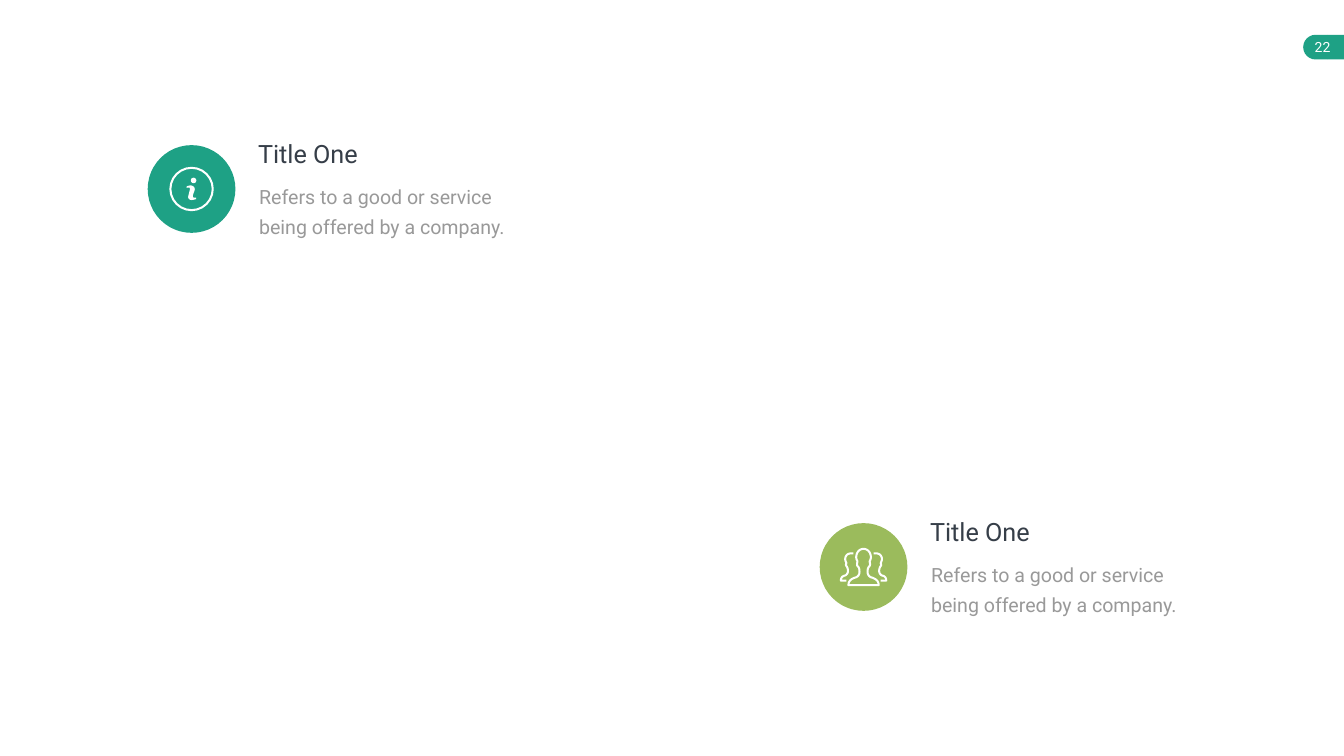
from pptx import Presentation
from pptx.dml.color import RGBColor
from pptx.enum.shapes import MSO_SHAPE
from pptx.enum.text import MSO_AUTO_SIZE, PP_ALIGN
from pptx.util import Inches, Pt

ELLIPSE = MSO_SHAPE.OVAL
RECTANGLE = MSO_SHAPE.RECTANGLE
DELAY = MSO_SHAPE.FLOWCHART_DELAY
CENTER = PP_ALIGN.CENTER
LEFT = PP_ALIGN.LEFT
GROW = MSO_AUTO_SIZE.SHAPE_TO_FIT_TEXT

WIDTH, HEIGHT = Inches(26.66), Inches(15)
ROWS = 15
COLUMNS = 26.66
CURVE_STEPS = 8

TEAL, GREEN, WHITE = "1EA185", "9BBB5C", "FFFFFF"
DARK, GRAY = "363E48", "999999"

# Outlines: a start point, then segments of one point (straight) or three (Bezier).
# Offsets are in grid units from the centre of the icon's disc.
LETTER_STEM = [
    (-0.1, -0.05),
    [(-0.05, -0.07), (-0.01, -0.08), (0.02, -0.06)],
    [(0.06, -0.04), (0.07, -0.01), (0.06, 0.03)],
    [(0.03, 0.11)],
    [(0.02, 0.17), (0.03, 0.18), (0.09, 0.17)],
    [(0.09, 0.2)],
    [(0.03, 0.22), (-0.02, 0.23), (-0.05, 0.2)],
    [(-0.07, 0.18), (-0.07, 0.16), (-0.06, 0.12)],
    [(-0.04, 0.04)],
    [(-0.02, -0.03), (-0.04, -0.04), (-0.1, -0.02)],
]
FRONT_PERSON_HALF = [
    (0, -0.36),
    [(0.04, -0.36), (0.1, -0.34), (0.13, -0.27)],
    [(0.16, -0.19), (0.14, -0.15), (0.12, -0.11)],
    [(0.14, -0.04), (0.12, -0.02), (0.12, -0.02)],
    [(0.1, 0), (0.08, 0.02), (0.08, 0.1)],
    [(0.08, 0.18), (0.15, 0.21), (0.17, 0.21)],
    [(0.22, 0.23), (0.3, 0.26), (0.3, 0.36)],
    [(0, 0.36)],
]
SIDE_PERSON = [
    (0.2, -0.27),
    [(0.22, -0.27), (0.24, -0.27), (0.26, -0.27)],
    [(0.32, -0.26), (0.34, -0.24), (0.36, -0.19)],
    [(0.37, -0.14), (0.36, -0.12), (0.34, -0.08)],
    [(0.36, -0.03), (0.34, -0.02), (0.34, -0.02)],
    [(0.33, 0), (0.31, 0.02), (0.31, 0.08)],
    [(0.31, 0.14), (0.36, 0.17), (0.37, 0.17)],
    [(0.41, 0.18), (0.45, 0.2), (0.45, 0.27)],
    [(0.34, 0.27)],
]


def color(hex_string):
    return RGBColor.from_string(hex_string)


def flatten(outline):
    """Turn the segments of an outline into a list of points."""
    points = [outline[0]]
    for segment in outline[1:]:
        if len(segment) == 1:
            points += segment
            continue
        corners = [points[-1], *segment]
        for step in range(1, CURVE_STEPS + 1):
            t = step / CURVE_STEPS
            weights = ((1 - t) ** 3, 3 * t * (1 - t) ** 2, 3 * t * t * (1 - t), t ** 3)
            points.append(tuple(
                sum(weight * corner[axis] for weight, corner in zip(weights, corners))
                for axis in (0, 1)))
    return points


def mirror(points):
    return [(-x, y) for x, y in points]


class SlideBuilder:
    font = "Roboto"
    stroke = Pt(2.9)

    def __init__(self, slide):
        self.slide = slide
        self.shapes = slide.shapes

    def start_group(self):
        self.shapes = self.slide.shapes.add_group_shape().shapes

    def place(self, column, row):
        return round(WIDTH * column / COLUMNS), round(HEIGHT * row / ROWS)

    def paint(self, shape, fill, line):
        shape.shadow.inherit = False
        if fill:
            shape.fill.solid()
            shape.fill.fore_color.rgb = color(fill)
        else:
            shape.fill.background()
        if line:
            shape.line.color.rgb = color(line)
            shape.line.width = self.stroke
        else:
            shape.line.fill.background()

    def shape(self, kind, column, row, columns, rows, fill=None, line=None):
        shape = self.shapes.add_shape(
            kind, *self.place(column, row), *self.place(columns, rows))
        self.paint(shape, fill, line)
        return shape

    def disc(self, x, y, diameter, fill=None, line=None):
        """Draw a circle around the centre x, y."""
        self.shape(ELLIPSE, x - diameter / 2, y - diameter / 2,
                   diameter, diameter, fill, line)

    def outline(self, x, y, points, closed=True, fill=None, line=None):
        """Draw points given as offsets from x, y."""
        first, *others = [self.place(x + dx, y + dy) for dx, dy in points]
        builder = self.shapes.build_freeform(*first)
        builder.add_line_segments(others, close=closed)
        self.paint(builder.convert_to_shape(), fill, line)

    def text(self, text, column, row, columns, rows, size, fill,
             insets=(0.1, 0.05), align=LEFT, line_spacing=None):
        box = self.shapes.add_textbox(
            *self.place(column, row), *self.place(columns, rows))
        frame = box.text_frame
        frame.text = text
        frame.word_wrap = True
        frame.auto_size = GROW
        frame.margin_left = frame.margin_right = Inches(insets[0])
        frame.margin_top = frame.margin_bottom = Inches(insets[1])
        paragraph = frame.paragraphs[0]
        paragraph.alignment = align
        if line_spacing:
            paragraph.line_spacing = Pt(line_spacing)
        for run in paragraph.runs:
            run.font.name = self.font
            run.font.size = Pt(size)
            run.font.color.rgb = color(fill)

    def info_icon(self, x, y):
        self.disc(x, y, 0.84, line=WHITE)
        self.disc(x + 0.04, y - 0.17, 0.11, fill=WHITE)
        self.outline(x, y, flatten(LETTER_STEM), fill=WHITE)

    def people_icon(self, x, y):
        half = flatten(FRONT_PERSON_HALF)
        self.outline(x, y, half + mirror(half)[::-1], line=WHITE)
        side = flatten(SIDE_PERSON)
        for points in (side, mirror(side)):
            self.outline(x, y, points, closed=False, line=WHITE)

    def item(self, column, row, fill, icon):
        """Draw a disc with an icon, a title and a description."""
        self.start_group()
        x, y = column + 0.87, row + 0.87
        self.disc(x, y, 1.74, fill=fill)
        self.text("Title One", column + 2.09, row - 0.18, 2.3, 0.71, 36, DARK)
        self.text("Refers to a good or service being offered by a company.",
                  column + 1.97, row + 0.53, 5.5, 1.39, 28, GRAY,
                  insets=(0.24, 0.12), line_spacing=43)
        icon(x, y)

    def page_number(self, number):
        self.start_group()
        cap = self.shape(DELAY, 25.85, 0.69, 0.49, 0.49, fill=TEAL)
        cap.rotation = 180
        self.shape(RECTANGLE, 26.34, 0.69, 0.32, 0.49, fill=TEAL)
        self.text(number, 25.78, 0.67, 0.91, 0.54, 20, WHITE,
                  insets=(0.2, 0.1), align=CENTER)


def main():
    presentation = Presentation()
    presentation.slide_width, presentation.slide_height = WIDTH, HEIGHT
    slide = presentation.slides.add_slide(presentation.slide_layouts[6])
    builder = SlideBuilder(slide)
    builder.page_number("22")
    column, row = 2.93, 2.88
    builder.item(column, row, TEAL, builder.info_icon)
    builder.item(column + COLUMNS / 2, row + ROWS / 2, GREEN, builder.people_icon)
    presentation.save("out.pptx")


if __name__ == "__main__":
    main()
